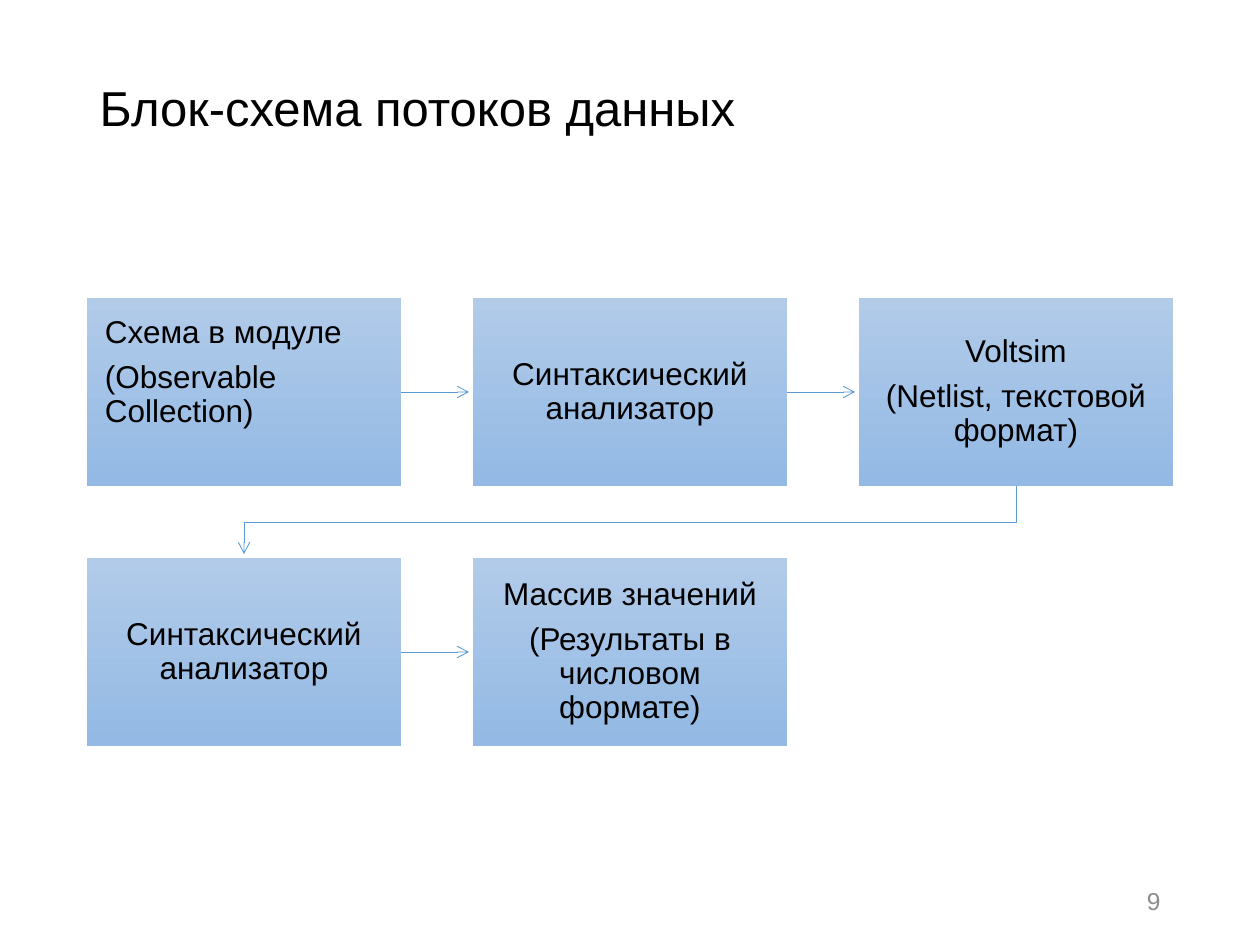
from lxml.etree import SubElement as Sub
from pptx import Presentation as Deck
from pptx.dml.color import RGBColor as Rgb
from pptx.enum.shapes import MSO_CONNECTOR as Link, MSO_SHAPE as Shape
from pptx.enum.text import MSO_ANCHOR as Anchor, PP_ALIGN as Align
from pptx.oxml.ns import qn
from pptx.util import Emu, Pt

UNIT = 914400 / 126
COLORS = {"text": "000000", "page": "8C8C8C", "line": "5B9BD5",
          "top": "B1CBE9", "base": "93B9E4"}

# Box grid, in px
LEFT, TOP, WIDE, HIGH = 87, 298, 314, 188
STEP_X, STEP_Y = 386, 260
GAP = 4  # space between an arrow tip and its box

PAD = {"margin_left": 18, "margin_right": 18,
       "margin_top": 18, "margin_bottom": 18}
STEPS = [
    (0, 0, ["Схема в модуле", "(Observable Collection)"]),
    (1, 0, ["Синтаксический анализатор"]),
    (2, 0, ["Voltsim", "(Netlist, текстовой формат)"]),
    (0, 1, ["Синтаксический анализатор"]),
    (1, 1, ["Массив значений", "(Результаты в числовом формате)"]),
]


def px(num):
    return Emu(round(num * UNIT))


def hue(name):
    return Rgb.from_string(COLORS[name])


def put(item, values):
    for name, value in values.items():
        setattr(item, name, value)


def write(frame, lines, size, color, para, anchor=Anchor.MIDDLE):
    put(frame, {"word_wrap": True, "vertical_anchor": anchor})
    frame.text = "\n".join(lines)
    for par in frame.paragraphs:
        put(par, para)
        put(par.font, {"size": Pt(size), "name": "Arial"})
        par.font.color.rgb = hue(color)


def add_title(slide, text):
    title = slide.shapes.title
    put(title, {"left": px(87), "top": px(50),
                "width": px(1086), "height": px(121)})
    write(title.text_frame, [text], 28, "text",
          {"alignment": Align.LEFT, "line_spacing": 0.9})


def add_box(slide, col, row, lines):
    box = slide.shapes.add_shape(
        Shape.RECTANGLE, px(LEFT + col * STEP_X), px(TOP + row * STEP_Y),
        px(WIDE), px(HIGH))
    box.shadow.inherit = False
    box.line.fill.background()
    box.fill.gradient()
    box.fill.gradient_angle = 270
    for stop, name, spot in zip(box.fill.gradient_stops, ("top", "base"), (0, 1)):
        stop.color.rgb = hue(name)
        stop.position = spot
    put(box.text_frame, {name: px(num) for name, num in PAD.items()})
    # The first box of the flow reads from its top left corner
    first = col == row == 0
    write(box.text_frame, lines, 18, "text",
          {"alignment": Align.LEFT if first else Align.CENTER,
           "line_spacing": 0.9, "space_after": Pt(6.3)},
          Anchor.TOP if first else Anchor.MIDDLE)
    return box


def style_line(item):
    item.line.color.rgb = hue("line")
    item.line.width = Pt(0.5)
    Sub(item.line._get_or_add_ln(), qn("a:tailEnd"), type="arrow")


def add_arrow(slide, start, end):
    mid = start.top + start.height // 2
    arrow = slide.shapes.add_connector(
        Link.STRAIGHT, start.left + start.width, mid, end.left - px(GAP), mid)
    arrow.begin_connect(start, 3)
    style_line(arrow)
    Sub(arrow._element.spPr, qn("a:effectLst"))


def add_turn(slide, start, end):
    x1, x2 = (box.left + box.width // 2 for box in (start, end))
    base = start.top + start.height
    mid = (base + end.top) // 2
    path = slide.shapes.build_freeform(x1, base)
    path.add_line_segments([(x1, mid), (x2, mid), (x2, end.top - px(GAP))],
                           close=False)
    turn = path.convert_to_shape()
    turn.shadow.inherit = False
    turn.fill.background()
    style_line(turn)


def add_page(slide, text):
    page = slide.shapes.add_textbox(px(889), px(876), px(284), px(50))
    write(page.text_frame, [text], 14, "page", {"alignment": Align.RIGHT})


def main():
    deck = Deck()
    put(deck, {"slide_width": px(1260), "slide_height": px(945)})
    slide = deck.slides.add_slide(deck.slide_layouts[5])
    add_title(slide, "Блок-схема потоков данных")

    # Flow boxes, then the arrows along and between the rows
    boxes = [add_box(slide, *step) for step in STEPS]
    for start, end in zip(boxes, boxes[1:]):
        add = add_arrow if start.top == end.top else add_turn
        add(slide, start, end)

    add_page(slide, "9")
    deck.save("out.pptx")


if __name__ == "__main__":
    main()
